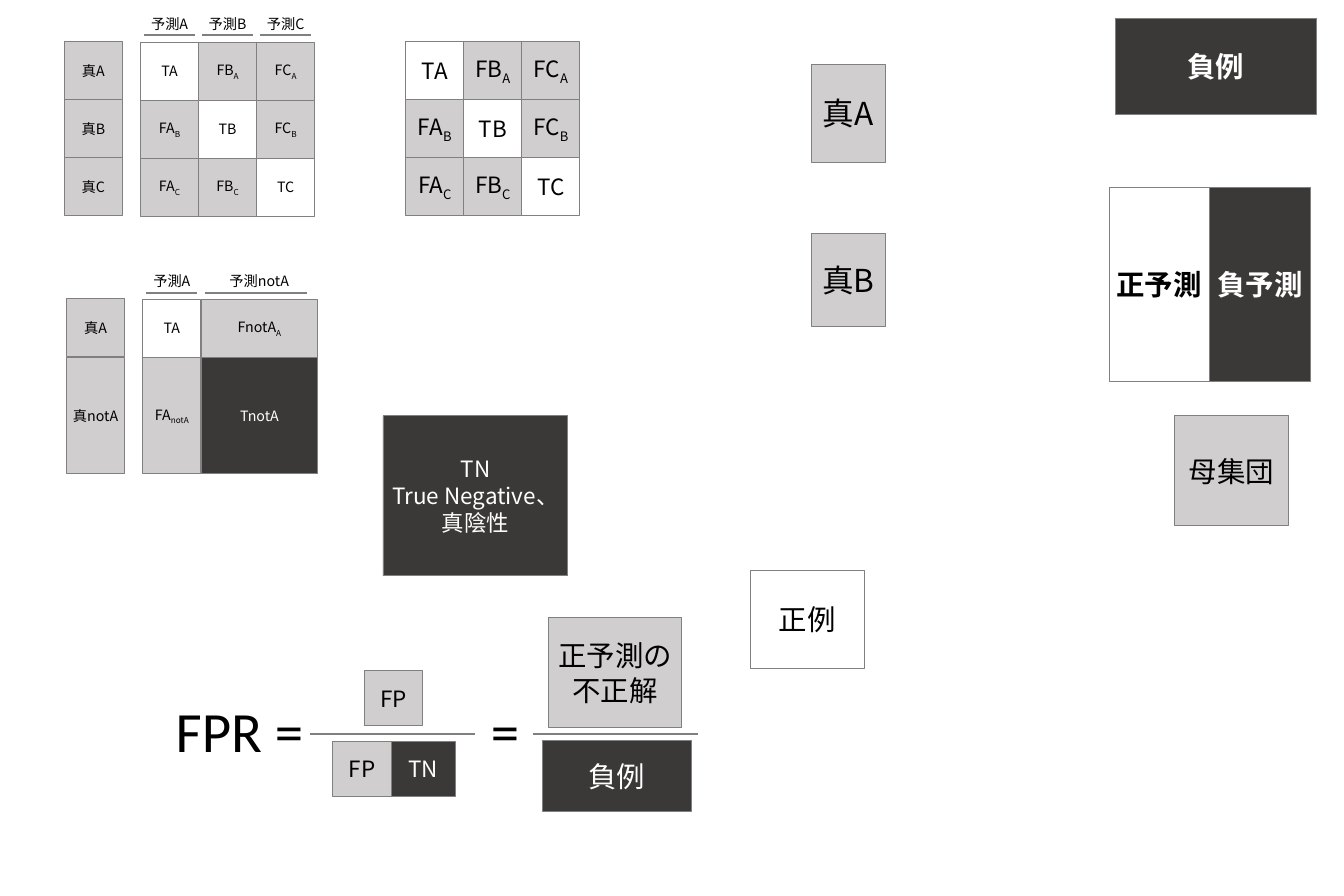
import pptx
import pptx.util
import pptx.dml.color
import pptx.enum.shapes
import pptx.enum.text
import pptx.oxml.ns
import lxml.etree

Inches, Pt = pptx.util.Inches, pptx.util.Pt
ALIGN = pptx.enum.text.PP_ALIGN
NOTO = "Noto Sans CJK JP"
BLACK, WHITE, DARK, LIGHT, GREY = "000000", "FFFFFF", "3B3838", "D0CECE", "808080"
rgb = pptx.dml.color.RGBColor.from_string
qn = pptx.oxml.ns.qn

prs = pptx.Presentation()
prs.slide_width, prs.slide_height = Inches(23.62), Inches(15.75)
s = prs.slides.add_slide(prs.slide_layouts[6])


def add_text(x, y, w, h, text, size, fill=None, bold=False, font=NOTO, align=ALIGN.CENTER):
    """Filled box, or plain text box without a fill; "_" starts a subscript."""
    box = [Inches(v) for v in (x, y, w, h)]
    if fill:
        sp = s.shapes.add_shape(pptx.enum.shapes.MSO_SHAPE.RECTANGLE, *box)
        sp.shadow.inherit = False
        sp.fill.solid()
        sp.fill.fore_color.rgb = rgb(fill)
        sp.line.color.rgb = rgb(GREY)
        sp.line.width = Pt(1)
    else:
        sp = s.shapes.add_textbox(*box)
    tf = sp.text_frame
    tf.word_wrap = True
    if fill:
        tf.vertical_anchor = pptx.enum.text.MSO_ANCHOR.MIDDLE
    else:
        tf.auto_size = pptx.enum.text.MSO_AUTO_SIZE.SHAPE_TO_FIT_TEXT
    for i, line in enumerate(text.split("\n")):
        p = tf.add_paragraph() if i else tf.paragraphs[0]
        p.alignment = align
        for j, part in enumerate(line.split("_")):
            r = p.add_run()
            r.text = part
            r.font.size = Pt(size)
            r.font.bold = bold
            r.font.name = font
            r.font.color.rgb = rgb(WHITE if fill == DARK else BLACK)
            rPr = r._r.get_or_add_rPr()
            lxml.etree.SubElement(rPr, qn("a:ea")).set("typeface", font)
            if j:
                rPr.set("baseline", "-25000")


def add_rule(x1, x2, y):
    cn = s.shapes.add_connector(pptx.enum.shapes.MSO_CONNECTOR.STRAIGHT,
                                Inches(x1), Inches(y), Inches(x2), Inches(y))
    cn.line.color.rgb = rgb(GREY)
    cn.line.width = Pt(2)
    lxml.etree.SubElement(cn._element.spPr, qn("a:effectLst"))


# Three-class confusion matrices, small and large
cell = 1.02
for left, top, size in [(2.47, 0.74, 18), (7.13, 0.73, 28.4)]:
    for i, true in enumerate("ABC"):
        for j, pred in enumerate("ABC"):
            hit = i == j
            add_text(left + j * cell, top + i * cell, cell, cell,
                     f"T{pred}" if hit else f"F{pred}_{true}", size, WHITE if hit else LIGHT)

# Row and column headings of the small matrix
for i, name in enumerate("ABC"):
    add_text(1.13, 0.73 + i * cell, cell, cell, f"真{name}", 18, LIGHT)
    x = 2.47 + i * cell
    add_text(x, 0.22, cell, 0.4, f"予測{name}", 18)
    add_rule(x + 0.06, x + 0.96, 0.62)

# A / notA matrix
for x, y, w, h, text, fill in [
    (1.17, 5.25, cell, cell, "真A", LIGHT),
    (1.17, 6.28, cell, 2.05, "真notA", LIGHT),
    (2.51, 5.26, cell, cell, "TA", WHITE),
    (2.51, 6.28, cell, 2.05, "FA_notA", LIGHT),
    (3.54, 5.26, 2.04, cell, "FnotA_A", LIGHT),
    (3.54, 6.28, 2.04, 2.05, "TnotA", DARK),
    (2.51, 4.74, cell, 0.4, "予測A", None),
    (3.53, 4.74, 2.05, 0.4, "予測notA", None),
]:
    add_text(x, y, w, h, text, 18, fill)
add_rule(2.56, 3.46, 5.15)
add_rule(3.6, 5.4, 5.15)

# FPR formula
for x, w, text in [(2.99, 4.89, "FPR ="), (8.53, 0.83, "=")]:
    add_text(x, 12.18, w, 1.31, text, 72, font="Calibri", align=ALIGN.LEFT)
for x in (5.44, 9.36):
    add_rule(x, x + 2.91, 12.9)
add_text(6.4, 11.79, 1.03, 0.97, "FP", 28.4, LIGHT)
add_text(5.85, 13.03, 1.03, 0.97, "FP", 28.4, LIGHT)
add_text(6.88, 13.03, 1.12, 0.97, "TN", 28.4, DARK)
add_text(9.64, 10.86, 2.34, 1.93, "正予測の不正解", 36, LIGHT)
add_text(9.53, 13.01, 2.62, 1.25, "負例", 36, DARK)

# Separate boxes
add_text(6.73, 7.31, 3.25, 2.81, "TN\nTrue Negative、真陰性", 28.4, DARK)
add_text(14.26, 1.13, 1.3, 1.72, "真A", 40, LIGHT)
add_text(14.26, 4.11, 1.3, 1.62, "真B", 40, LIGHT)
add_text(13.19, 10.02, 2, 1.73, "正例", 36, WHITE)
add_text(20.64, 7.31, 2, 1.93, "母集団", 36, LIGHT)
add_text(19.6, 0.32, 3.54, 1.69, "負例", 36, DARK, bold=True)
add_text(19.49, 3.29, 1.76, 3.42, "正予測", 36, WHITE, bold=True)
add_text(21.25, 3.29, 1.78, 3.42, "負予測", 36, DARK, bold=True)

prs.save("out.pptx")
